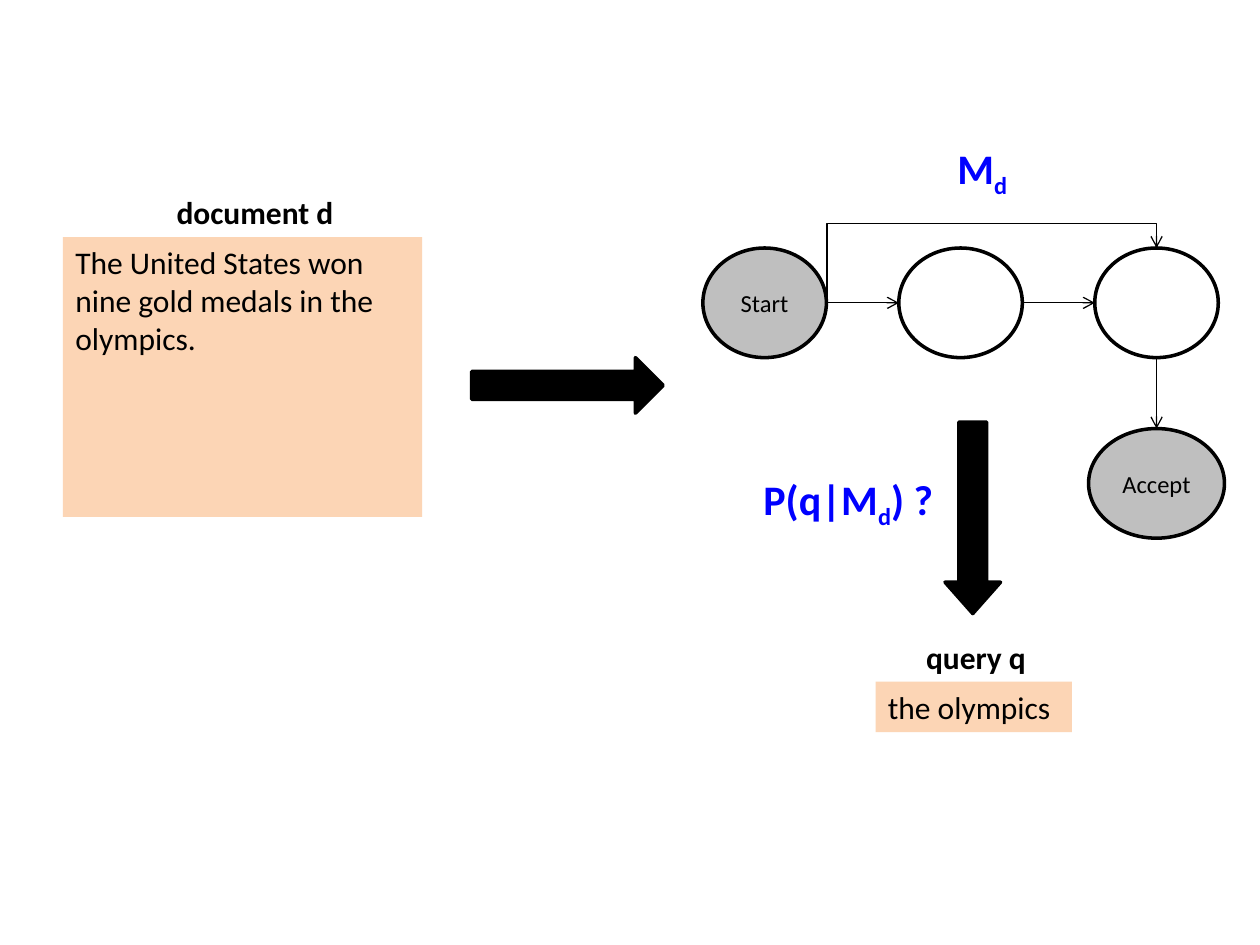
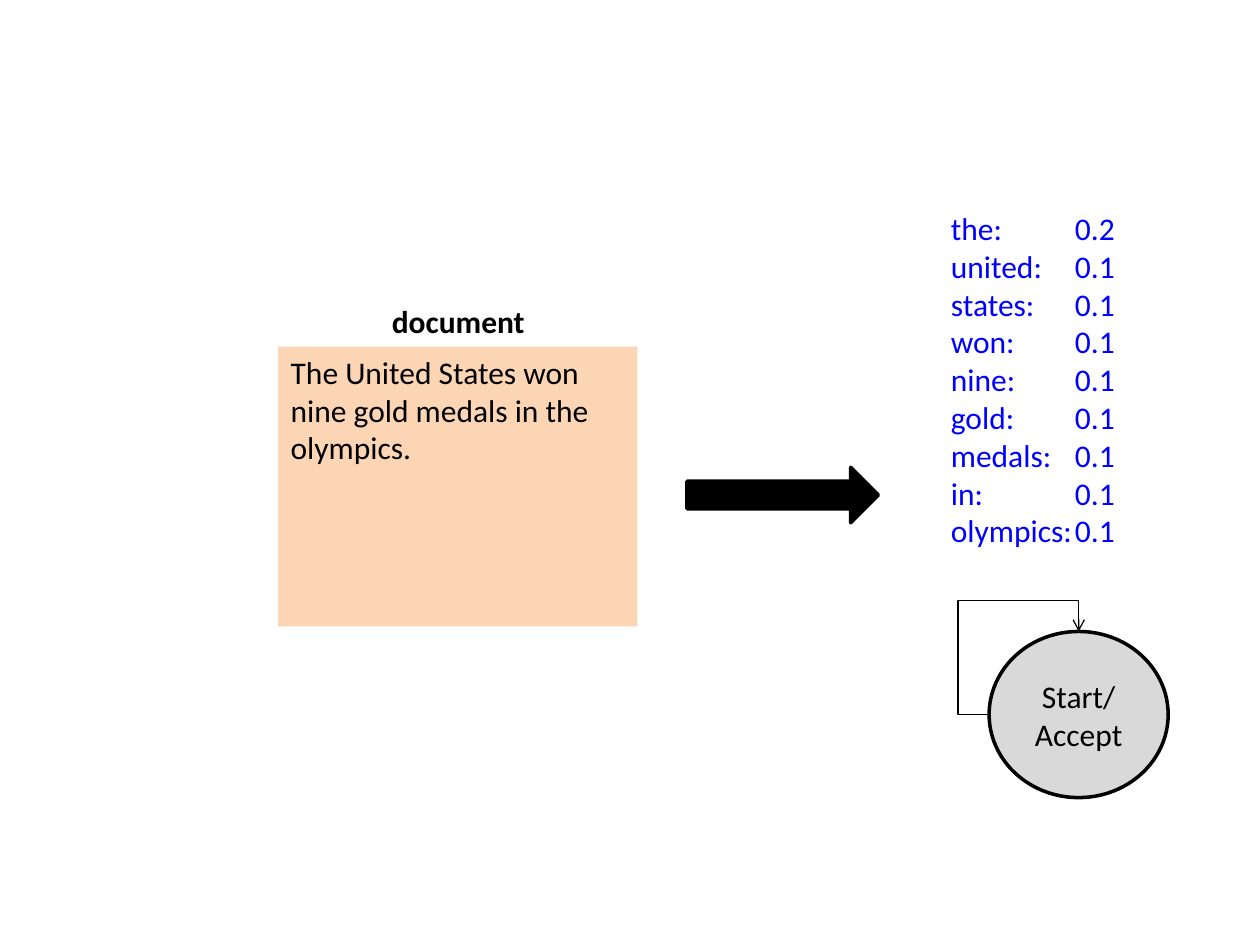
from lxml.etree import SubElement
from pptx import Presentation
from pptx.dml.color import RGBColor
from pptx.enum.shapes import MSO_CONNECTOR, MSO_SHAPE
from pptx.enum.text import MSO_ANCHOR, PP_ALIGN
from pptx.oxml.ns import qn
from pptx.util import Cm, Pt

FONT = "Calibri"
BLACK, WHITE, BLUE = "000000", "FFFFFF", "0000FF"
PEACH, GREY, LIGHT_GREY = "FCD5B5", "BFBFBF", "D9D9D9"
SENTENCE = "The United States won\vnine gold medals in the olympics."


def rgb(value):
    """Turn a hex string into a colour."""
    return RGBColor.from_string(value)


class Diagram:
    """Holds the presentation, the current slide and the shared style."""

    def __init__(self):
        """Start a 4:3 presentation."""
        self.prs = Presentation()
        self.prs.slide_width, self.prs.slide_height = Cm(25.4), Cm(19.05)
        self.s = None

    def new_slide(self):
        """Add a blank slide and make it current."""
        self.s = self.prs.slides.add_slide(self.prs.slide_layouts[6])

    def style(self, tf, size, color=BLACK, bold=False):
        """Format every run of a text frame."""
        for p in tf.paragraphs:
            for r in p.runs:
                r.font.name, r.font.size = FONT, Pt(size)
                r.font.bold, r.font.color.rgb = bold, rgb(color)

    def shape(self, kind, x, y, w, h, fill, outlined=True):
        """Add a filled preset shape, with a black outline or none."""
        sp = self.s.shapes.add_shape(kind, Cm(x), Cm(y), Cm(w), Cm(h))
        sp.shadow.inherit = False
        sp.fill.solid()
        sp.fill.fore_color.rgb = rgb(fill)
        if outlined:
            sp.line.color.rgb, sp.line.width = rgb(BLACK), Pt(2)
        else:
            sp.line.fill.background()
        return sp

    def text(self, x, y, w, h, text, size=18, color=BLACK, bold=True):
        """Add a wrapping text box and return its text frame."""
        tf = self.s.shapes.add_textbox(Cm(x), Cm(y), Cm(w), Cm(h)).text_frame
        tf.word_wrap = True
        tf.text = text
        self.style(tf, size, color, bold)
        return tf

    def formula(self, x, y, w, parts):
        """Add a blue formula whose every second part is a subscript."""
        tf = self.text(x, y, w, 1.27, "")
        for i, part in enumerate(parts):
            r = tf.paragraphs[0].add_run()
            r.text = part
            if i % 2:
                r.font._element.set("baseline", "-25000")
        self.style(tf, 24, BLUE, True)

    def box(self, x, y, w, h, text):
        """Add a peach box with text at its top left."""
        sp = self.shape(MSO_SHAPE.RECTANGLE, x, y, w, h, PEACH, outlined=False)
        tf = sp.text_frame
        tf.word_wrap, tf.vertical_anchor = True, MSO_ANCHOR.TOP
        tf.text = text
        for p in tf.paragraphs:
            p.alignment = PP_ALIGN.LEFT
        self.style(tf, 18)

    def state(self, x, y, w, h, fill=WHITE, text="", size=14):
        """Add an automaton state, labelled if there is a text."""
        tf = self.shape(MSO_SHAPE.OVAL, x, y, w, h, fill).text_frame
        if text:
            tf.word_wrap, tf.vertical_anchor = False, MSO_ANCHOR.MIDDLE
            tf.text = text
            tf.paragraphs[0].alignment = PP_ALIGN.CENTER
            self.style(tf, size)

    def block_arrow(self, x, y, rotation=0, head=0.5):
        """Add a thick black arrow."""
        sp = self.shape(MSO_SHAPE.RIGHT_ARROW, x, y, 3.86, 1.12, BLACK)
        sp.rotation = rotation
        sp.adjustments[1] = head

    def transition(self, x1, y1, x2, y2, via=None):
        """Add a thin arrow; via is the corner (x, y) of a bent one."""
        kind = MSO_CONNECTOR.ELBOW if via else MSO_CONNECTOR.STRAIGHT
        c = self.s.shapes.add_connector(kind, Cm(x1), Cm(y1), Cm(x2), Cm(y2))
        c.line.color.rgb, c.line.width = rgb(BLACK), Pt(0.75)
        props = c._element.spPr
        SubElement(props.find(qn("a:ln")), qn("a:tailEnd"), type="arrow")
        SubElement(props, qn("a:effectLst"))
        if via:
            geom = props.find(qn("a:prstGeom"))
            geom.set("prst", "bentConnector4")
            guides = geom.find(qn("a:avLst"))
            ratios = (via[0] - x1) / (x2 - x1), (via[1] - y1) / (y2 - y1)
            for i, ratio in enumerate(ratios, 1):
                SubElement(guides, qn("a:gd"), name=f"adj{i}",
                           fmla=f"val {round(ratio * 100000)}")

    def document(self, x, y, label):
        """Add the sample document, its label and the arrow leaving it."""
        self.box(x, y, 7.24, 5.64, SENTENCE)
        self.text(x + 2.04, y - 1.02, 4.5, 1.02, label)
        self.block_arrow(x + 8.24, y + 2.43)

    def probabilities(self, x, y, w, h, rows):
        """Add a list of words with their probabilities at a tab stop."""
        lines = "\n".join(f"{word}:\t{value}" for word, value in rows)
        tf = self.text(x, y, w, h, lines, color=BLUE, bold=False)
        for p in tf.paragraphs:
            tabs = SubElement(p._p.get_or_add_pPr(), qn("a:tabLst"))
            SubElement(tabs, qn("a:tab"), pos=str(Cm(2.5)), algn="l")


def query_slide(d):
    """Document model generating a query."""
    d.new_slide()
    d.document(1.27, 4.78, "document d")

    left, top, w, h, step = 14.17, 5.0, 2.49, 2.21, 3.95
    middle, right = top + h / 2, left + w
    last = left + 2 * step + w / 2
    accept_top, accept_w = 8.64, 2.74
    d.state(left, top, w, h, GREY, "Start")
    for i in range(2):
        d.state(left + (i + 1) * step, top, w, h)
        d.transition(right + i * step, middle, left + (i + 1) * step, middle)
    d.transition(last, top + h, last, accept_top)
    d.transition(right, middle, last, top, via=(right + 0.01, 4.5))
    d.state(last - accept_w / 2, accept_top, accept_w, h, GREY, "Accept")

    d.formula(19.05, 2.74, 2.49, ["M", "d"])
    d.formula(15.14, 9.42, 4.17, ["P(q|M", "d", ") ?"])
    d.block_arrow(17.68, 9.88, rotation=90, head=0.565)
    d.box(17.65, 13.74, 3.96, 1.02, "the olympics")
    d.text(18.42, 12.73, 3.43, 1.02, "query q")


def unigram_slide(d):
    """One-state model with its word probabilities."""
    d.new_slide()
    d.document(5.61, 6.99, "document")
    words = "the united states won nine gold medals in olympics".split()
    rows = [(word, 0.2 if word == "the" else 0.1) for word in words]
    d.probabilities(18.92, 4.09, 4.22, 10.26, rows)

    x, y, w, h, gap = 19.94, 12.73, 3.61, 3.35, 0.63
    d.state(x, y, w, h, LIGHT_GREY, "Start/\vAccept", 18)
    d.transition(x, y + h / 2, x + w / 2, y, via=(x - gap, y - gap))


d = Diagram()
query_slide(d)
unigram_slide(d)
d.prs.save("out.pptx")
